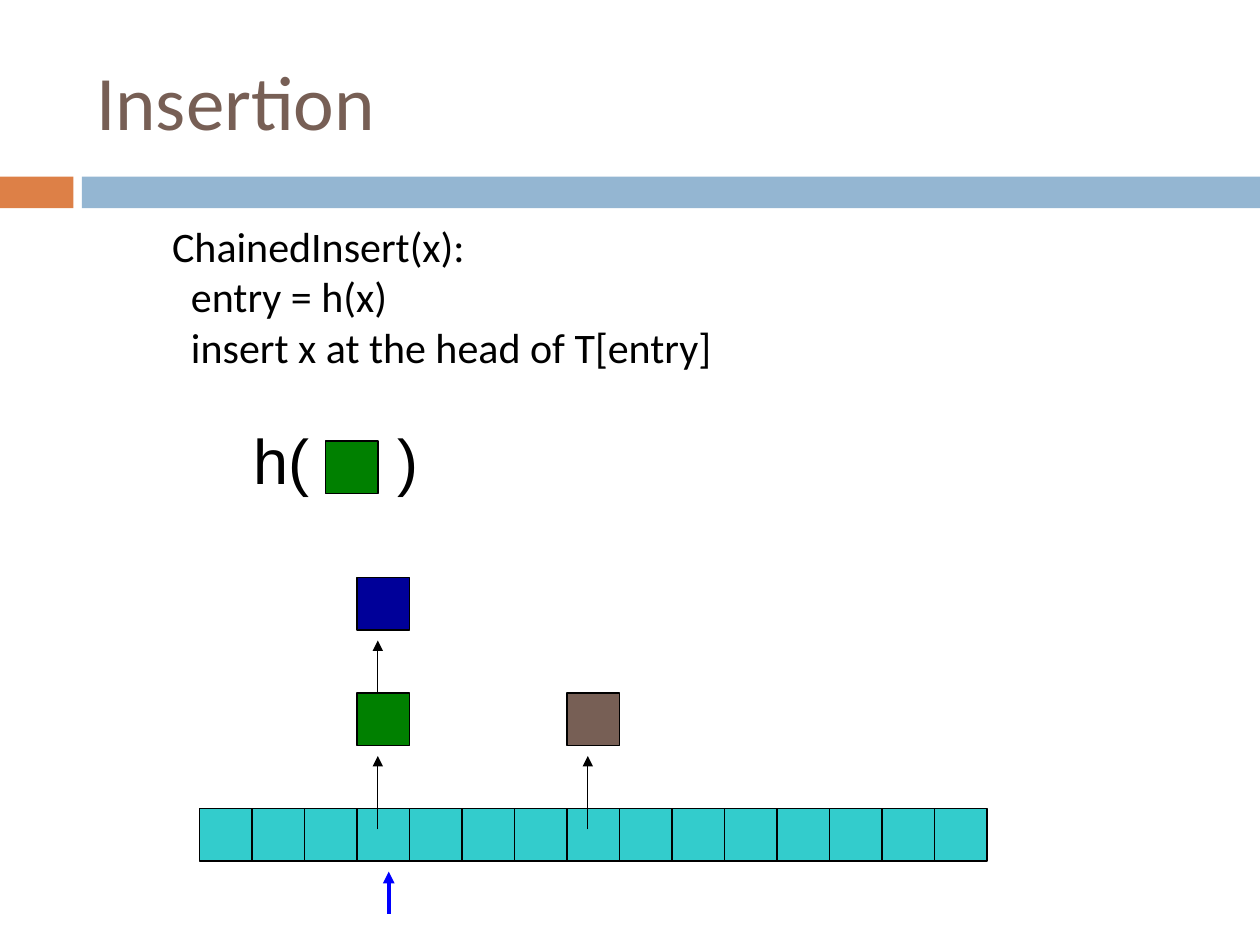
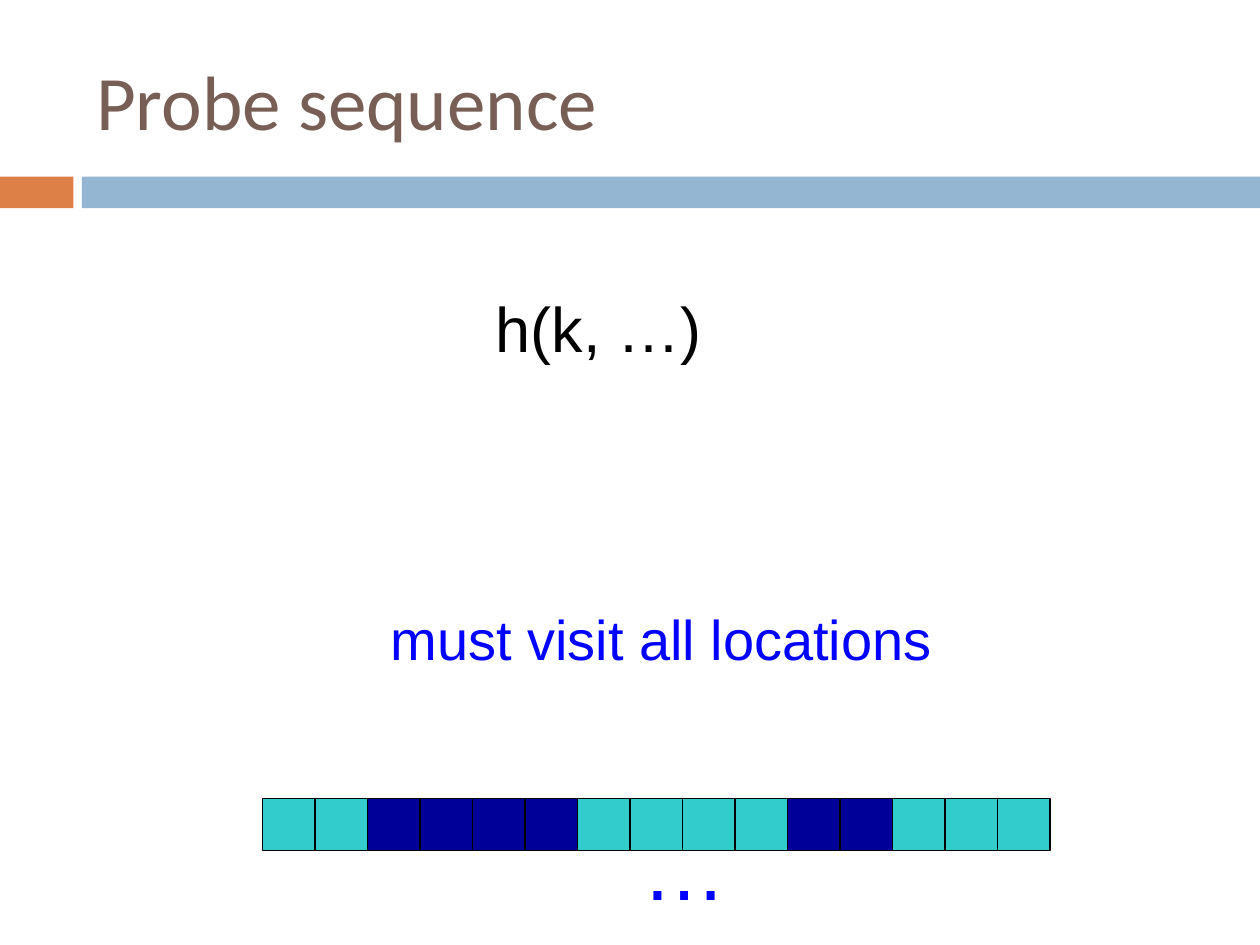
from lxml import etree
from pptx import Presentation
from pptx import util as u
from pptx.dml.color import RGBColor
from pptx.enum import shapes, text
from pptx.oxml import ns

WIDTH, HEIGHT = 25.4, 19.05
SLOTS = 15
ROW_WIDTH = 15.88
CELL = ROW_WIDTH / SLOTS
ARROW_INSET = 0.42

BLACK, BLUE, NAVY, GREEN = "000000", "0000FF", "000099", "008000"
BROWN, TEAL, ORANGE, SKY = "775F55", "33CCCC", "DD8047", "94B6D2"
HEADING_FONT, DIAGRAM_FONT = "Calibri", "Arial"


def color(hex_string):
    return RGBColor.from_string(hex_string)


def add_xml(parent, tag, **attributes):
    element = etree.SubElement(parent, ns.qn(tag))
    for name, value in attributes.items():
        element.set(name, str(value))
    return element


class Deck:
    """Holds the presentation, its shared style and the current slide."""

    def __init__(self):
        self.presentation = Presentation()
        self.presentation.slide_width = u.Cm(WIDTH)
        self.presentation.slide_height = u.Cm(HEIGHT)
        self.slide = None

    def new_slide(self, title):
        blank = self.presentation.slide_layouts[6]
        self.slide = self.presentation.slides.add_slide(blank)
        self.rectangle(0, 3.56, 1.48, 0.64, ORANGE, outline=None)
        self.rectangle(1.65, 3.56, WIDTH - 1.65, 0.64, SKY, outline=None)
        frame = self.text_frame(1.69, 0.64, 22.65, 2.75)
        frame.vertical_anchor = text.MSO_ANCHOR.MIDDLE
        self.run(frame.paragraphs[0], title, 44, HEADING_FONT, BROWN)

    def rectangle(self, left, top, width, height, fill, outline=BLACK, parent=None):
        shape = (parent or self.slide).shapes.add_shape(
            shapes.MSO_SHAPE.RECTANGLE,
            u.Cm(left), u.Cm(top), u.Cm(width), u.Cm(height))
        shape.shadow.inherit = False
        shape.fill.solid()
        shape.fill.fore_color.rgb = color(fill)
        if outline:
            shape.line.color.rgb = color(outline)
            shape.line.width = u.Pt(0.75)
        else:
            shape.line.fill.background()

    def box(self, left, top, fill):
        self.rectangle(left, top, CELL, CELL, fill)

    def line(self, x1, y1, x2, y2, stroke=BLACK, width=0.75, parent=None):
        connector = (parent or self.slide).shapes.add_connector(
            shapes.MSO_CONNECTOR.STRAIGHT,
            u.Cm(x1), u.Cm(y1), u.Cm(x2), u.Cm(y2))
        connector.line.color.rgb = color(stroke)
        connector.line.width = u.Pt(width)
        add_xml(connector.element.spPr, "a:effectLst")
        return connector

    def up_arrow(self, x, bottom, top, stroke=BLACK, width=0.75):
        connector = self.line(x, bottom, x, top, stroke, width)
        add_xml(connector.line._get_or_add_ln(), "a:tailEnd", type="triangle")

    def hash_row(self, left, top):
        """Draws the hash table as one bar split into equal slots."""
        group = self.slide.shapes.add_group_shape()
        self.rectangle(left, top, ROW_WIDTH, CELL, TEAL, parent=group)
        for slot in range(1, SLOTS):
            x = left + slot * CELL
            self.line(x, top, x, top + CELL, parent=group)

    def text_frame(self, left, top, width, height, wrap=True):
        frame = self.slide.shapes.add_textbox(
            u.Cm(left), u.Cm(top), u.Cm(width), u.Cm(height)).text_frame
        frame.word_wrap = wrap
        return frame

    def run(self, paragraph, words, size, font, fill):
        run = paragraph.add_run()
        run.text = words
        run.font.size = u.Pt(size)
        run.font.name = font
        run.font.color.rgb = color(fill)

    def label(self, left, top, width, height, words, size, fill=BLACK, tab=None):
        """Adds a diagram caption; tab is the stop used by a tab in words."""
        frame = self.text_frame(left, top, width, height)
        frame.auto_size = text.MSO_AUTO_SIZE.SHAPE_TO_FIT_TEXT
        paragraph = frame.paragraphs[0]
        properties = paragraph._p.get_or_add_pPr()
        add_xml(add_xml(properties, "a:spcBef"), "a:spcPct", val=50000)
        if tab:
            stops = add_xml(properties, "a:tabLst")
            add_xml(stops, "a:tab", pos=u.Cm(tab), algn="l")
        self.run(paragraph, words, size, DIAGRAM_FONT, fill)

    def pseudocode(self, left, top, width, height, header, body):
        frame = self.text_frame(left, top, width, height, wrap=False)
        frame.auto_size = text.MSO_AUTO_SIZE.SHAPE_TO_FIT_TEXT
        self.run(frame.paragraphs[0], header, 24, HEADING_FONT, BLACK)
        for statement in body:
            paragraph = frame.add_paragraph()
            paragraph._p.get_or_add_pPr().set("marL", str(u.Cm(0.38)))
            self.run(paragraph, statement, 24, HEADING_FONT, BLACK)


def insertion_slide(deck):
    deck.new_slide("Insertion")
    row_left, row_top = 4.02, 16.3
    chain_top, second_top = 13.97, 11.64
    deck.hash_row(row_left, row_top)

    for slot, fill in ((3, GREEN), (7, BROWN)):
        left = row_left + slot * CELL
        deck.up_arrow(left + ARROW_INSET, row_top + ARROW_INSET, 15.24)
        deck.box(left, chain_top, fill)

    entry_left = row_left + 3 * CELL
    deck.box(entry_left, second_top, NAVY)
    deck.up_arrow(entry_left + ARROW_INSET, chain_top, 12.91)
    deck.up_arrow(entry_left + 0.64, 18.42, 17.57, BLUE, 2.25)

    deck.label(4.87, 8.38, 4.45, 1.78, "h(\t)", 36, tab=2.89)
    deck.box(6.56, 8.89, GREEN)
    deck.pseudocode(3.22, 4.32, 11.43, 3.33, "ChainedInsert(x):",
                    ("entry = h(x)", "insert x at the head of T[entry]"))


def probe_slide(deck):
    deck.new_slide("Probe sequence")
    row_left, row_top = 5.29, 16.09
    deck.hash_row(row_left, row_top)
    for slot in (2, 3, 4, 5, 10, 11):
        deck.box(row_left + slot * CELL, row_top, NAVY)
    deck.label(9.74, 5.72, 7.83, 1.78, "h(k, …)", 36)
    deck.label(12.7, 16.33, 5.08, 2.29, "…", 48, BLUE)
    deck.label(7.62, 12.07, 13.34, 1.6, "must visit all locations", 32, BLUE)


def main():
    deck = Deck()
    insertion_slide(deck)
    probe_slide(deck)
    deck.presentation.save("out.pptx")


if __name__ == "__main__":
    main()
